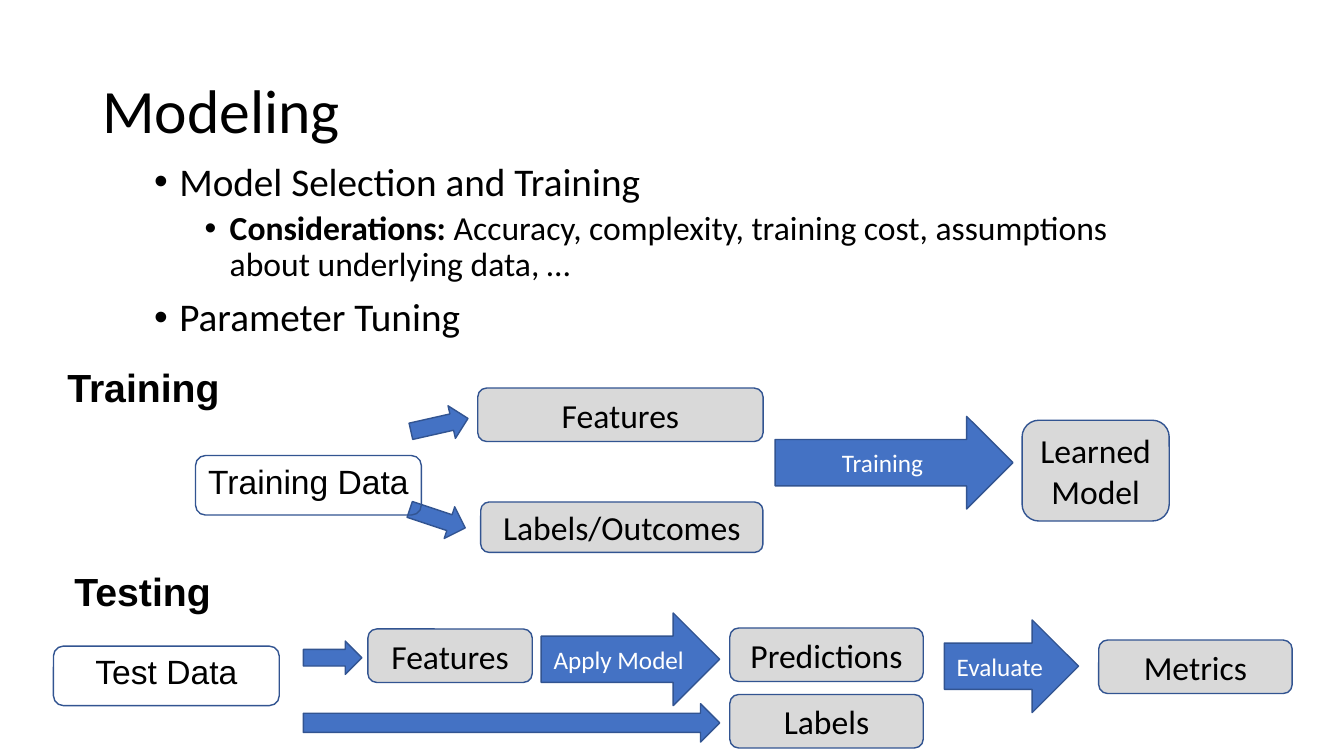
from lxml import etree
from pptx import Presentation
from pptx import util as u
from pptx.dml.color import RGBColor
from pptx.enum import shapes, text
from pptx.oxml.ns import qn

# Content: places are left, top, width, height in points
TITLE = ("Modeling", (66, 28.8, 828, 104.4))
POINTS = [  # level, bold part, plain part
    (0, "", "Model Selection and Training"),
    (1, "Considerations: ", "Accuracy, complexity, training cost, assumptions about underlying data, …"),
    (0, "", "Parameter Tuning"),
]
POINTS_AT = (103, 112.3, 723.6, 152.6)
HEADS = [("Training", (41, 256.3, 124.6, 41)), ("Testing", (46.1, 401.8, 113, 41))]
BOXES = [
    ("Labels/Outcomes", (343.4, 358.6, 201.6, 36)),
    ("Features", (341.3, 277.2, 203.8, 38.2)),
    ("Learned Model", (730.1, 300.2, 105.1, 72)),
    ("Predictions", (521.3, 448.6, 138.2, 38.2)),
    ("Features", (262.8, 449.3, 117.4, 38.2)),
    ("Labels", (521.3, 496.1, 138.2, 38.2)),
    ("Metrics", (784.8, 457.2, 138.2, 38.2)),
]
ARROWS = [  # text, place, turn in degrees
    ("", (291.6, 358.6, 41.8, 23.8), 18.4),
    ("", (293, 291.6, 41.8, 23.8), -12.7),
    ("Training", (553.7, 297.4, 169.9, 66.2), 0),
    ("", (216.7, 457.9, 41.8, 23.8), 0),
    ("", (216.7, 502.6, 297.4, 27.4), 0),
    ("Apply Model", (386.6, 437.8, 127.4, 66.2), 0),
    ("Evaluate", (674.6, 442.8, 95.8, 66.2), 0),
]
DATA = [("Test Data", (38.2, 461.5)), ("Training Data", (139.7, 325.4))]
DATA_W, DATA_H, DATA_PAD = 161.3, 42.5, 1.5

THEME = dict(
    body="Calibri", label="Arial",
    ink="000000", white="FFFFFF", gray="D9D9D9", blue="4472C4", edge="325491",
    title=44, head=28, sub=24, small=18,
)
KIND = shapes.MSO_SHAPE
MID, TOP = text.MSO_ANCHOR.MIDDLE, text.MSO_ANCHOR.TOP

prs = Presentation()
prs.slide_width, prs.slide_height = u.Pt(960), u.Pt(540)
slide = prs.slides.add_slide(prs.slide_layouts[6])


def pts(place):
    return [u.Pt(v) for v in place]


def hue(name):
    return RGBColor.from_string(THEME[name])


def run(para, words, size="sub", font="body", color="ink", bold=False):
    part = para.add_run()
    part.text = words
    face = part.font
    face.name, face.size, face.bold = THEME[font], u.Pt(THEME[size]), bold
    face.color.rgb = hue(color)


def write(shape, words, anchor=MID, center=True, wrap=True, **style):
    frame = shape.text_frame
    frame.word_wrap, frame.vertical_anchor = wrap, anchor
    para = frame.paragraphs[0]
    para.alignment = text.PP_ALIGN.CENTER if center else text.PP_ALIGN.LEFT
    run(para, words, **style)
    return para


def draw(home, kind, place, fill=None, turn=0):
    shape = home.shapes.add_shape(kind, *pts(place))
    shape.shadow.inherit = False
    shape.rotation = turn
    if fill:
        shape.fill.solid()
        shape.fill.fore_color.rgb = hue(fill)
    else:
        shape.fill.background()
    shape.line.color.rgb = hue("edge")
    shape.line.width = u.Pt(1)
    return shape


# Bullets
frame = slide.shapes.add_textbox(*pts(POINTS_AT)).text_frame
frame.word_wrap = True
for i, (level, strong, plain) in enumerate(POINTS):
    para = frame.add_paragraph() if i else frame.paragraphs[0]
    para.level = level
    para.line_spacing = 0.9
    para.space_before = u.Pt(5 if level else 10)
    props = para._p.get_or_add_pPr()
    props.set("marL", str(u.Pt(18 + 36 * level)))
    props.set("indent", str(u.Pt(-18)))
    etree.SubElement(props, qn("a:buFont")).set("typeface", "Arial")
    etree.SubElement(props, qn("a:buChar")).set("char", "•")
    size = "sub" if level else "head"
    if strong:
        run(para, strong, size=size, bold=True)
    run(para, plain, size=size)

# Title and section heads
words, place = TITLE
para = write(slide.shapes.add_textbox(*pts(place)), words, center=False, size="title")
para.line_spacing = 0.9
for words, place in HEADS:
    write(slide.shapes.add_textbox(*pts(place)), words, anchor=TOP, center=False,
          wrap=False, size="head", font="label", bold=True)

# Flow boxes and arrows
for words, place in BOXES:
    write(draw(slide, KIND.ROUNDED_RECTANGLE, place, "gray"), words)
for words, place, turn in ARROWS:
    arrow = draw(slide, KIND.RIGHT_ARROW, place, "blue", turn)
    if words:
        write(arrow, words, size="small", color="white")

# Data sources: a label grouped with its outline
for words, (x, y) in DATA:
    group = slide.shapes.add_group_shape()
    label = group.shapes.add_textbox(*pts((x - DATA_PAD, y, DATA_W + 2 * DATA_PAD, 36)))
    write(label, words, anchor=TOP, font="label")
    draw(group, KIND.ROUNDED_RECTANGLE, (x, y, DATA_W, DATA_H))

prs.save("out.pptx")
